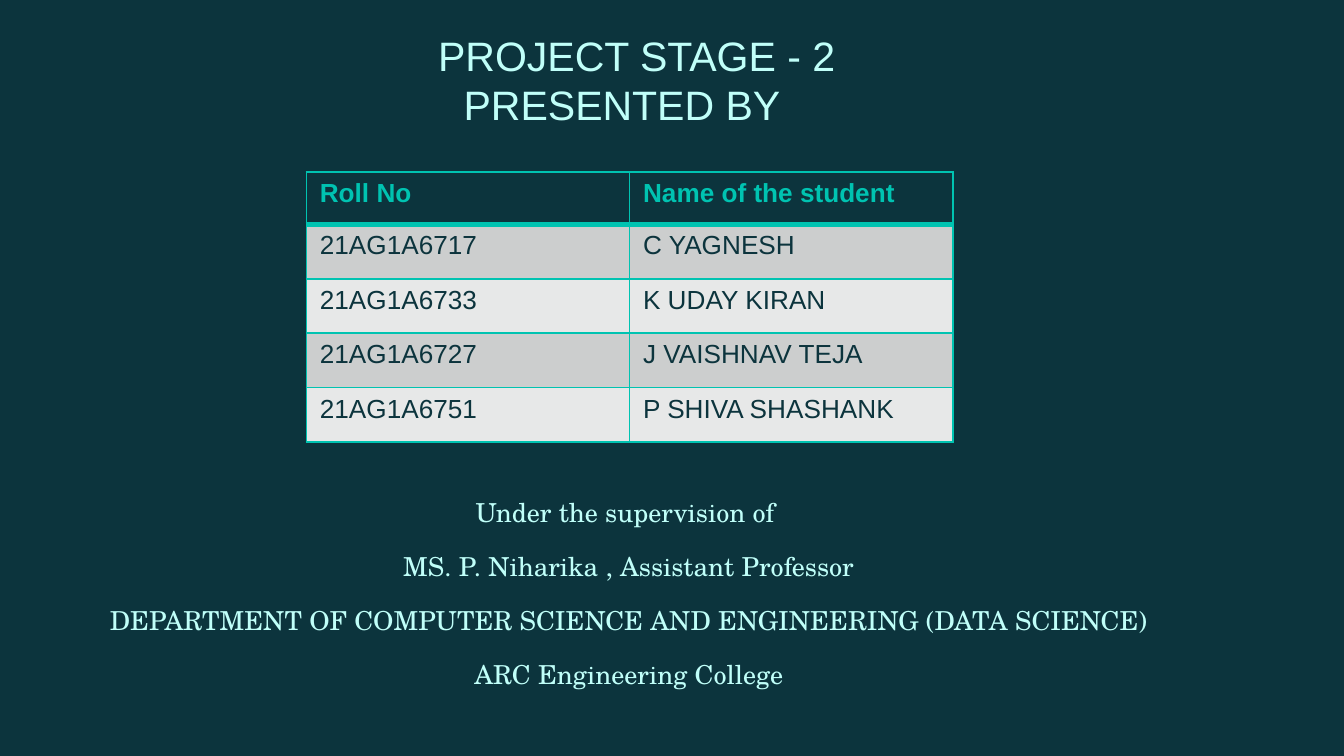
from dataclasses import dataclass

from lxml import etree
from pptx import Presentation, util as u
from pptx.dml.color import RGBColor
from pptx.enum import text as t
from pptx.oxml import ns


@dataclass(frozen=True)
class Theme:
    dark: str = "0C343D"
    teal: str = "00C3B1"
    pale: str = "C0FFF9"
    bands: tuple = ("CCCECE", "E7E8E8")
    sans: str = "Arial"
    serif: str = "TeX Gyre Schola"
    head: int = 22
    body: int = 14


THEME = Theme()
TITLE = (("PROJECT STAGE - 2", 1.0), ("PRESENTED BY", 1.19))
ROWS = (
    ("Roll No", "Name of the student"),
    ("21AG1A6717", "C YAGNESH"),
    ("21AG1A6733", "K UDAY KIRAN"),
    ("21AG1A6727", "J VAISHNAV TEJA"),
    ("21AG1A6751", "P SHIVA SHASHANK"),
)
CREDITS = (
    "Under the supervision of ",
    "MS. P. Niharika , Assistant Professor",
    "DEPARTMENT OF COMPUTER SCIENCE AND ENGINEERING (DATA SCIENCE)",
    "ARC Engineering College",
)


def apply(item, **vals):
    for key, val in vals.items():
        setattr(item, key, val)


def write(para, words, name, size, color, bold=False):
    run = para.add_run()
    run.text = words
    apply(run.font, name=name, size=u.Pt(size), bold=bold)
    run.font.color.rgb = RGBColor.from_string(color)


def lines(frame, count):
    return [frame.paragraphs[0]] + [frame.add_paragraph() for _ in range(count - 1)]


def edge(cell, side, color, width):
    props = cell._tc.get_or_add_tcPr()
    line = etree.SubElement(props, ns.qn(f"a:ln{side}"), w=str(u.Pt(width)))
    fill = etree.SubElement(line, ns.qn("a:solidFill"))
    etree.SubElement(fill, ns.qn("a:srgbClr"), val=color)


def add_title(slide, left, top, width, height):
    title = slide.shapes.title
    apply(title, left=left, top=top, width=width, height=height)
    frame = title.text_frame
    apply(frame, word_wrap=True, auto_size=t.MSO_AUTO_SIZE.NONE,
          vertical_anchor=t.MSO_ANCHOR.TOP)
    for para, (words, inset) in zip(lines(frame, len(TITLE)), TITLE):
        apply(para, alignment=t.PP_ALIGN.LEFT, line_spacing=u.Pt(26.3))
        para._p.get_or_add_pPr().set("marL", str(u.Inches(inset)))
        write(para, words, THEME.sans, THEME.head, THEME.pale)


def add_roster(slide, left, top, width, height):
    table = slide.shapes.add_table(len(ROWS), len(ROWS[0]), left, top, width, height).table
    first = u.Inches(0.39)
    rest = (height - first) // (len(ROWS) - 1)
    for i, names in enumerate(ROWS):
        head = i == 0
        table.rows[i].height = first if head else rest
        for j, words in enumerate(names):
            cell = table.cell(i, j)
            for side in "LRTB":
                thick = (head and side == "B") or (i == 1 and side == "T")
                edge(cell, side, THEME.teal, 3 if thick else 1)
            cell.fill.solid()
            tint = THEME.dark if head else THEME.bands[(i - 1) % 2]
            cell.fill.fore_color.rgb = RGBColor.from_string(tint)
            write(cell.text_frame.paragraphs[0], words, THEME.sans, THEME.body,
                  THEME.teal if head else THEME.dark, head)


def add_credits(slide, left, top, width, height):
    frame = slide.shapes.add_textbox(left, top, width, height).text_frame
    frame.word_wrap = True
    for para, words in zip(lines(frame, len(CREDITS)), CREDITS):
        apply(para, alignment=t.PP_ALIGN.CENTER, line_spacing=u.Pt(28.8))
        write(para, words, THEME.serif, THEME.body, THEME.pale)


def main():
    deck = Presentation()
    wide = u.Inches(10)
    apply(deck, slide_width=wide, slide_height=wide * 9 // 16)
    slide = deck.slides.add_slide(deck.slide_layouts[5])
    slide.background.fill.solid()
    slide.background.fill.fore_color.rgb = RGBColor.from_string(THEME.dark)
    parts = (
        (add_roster, (2.28, 1.28, 4.81, 2.01)),
        (add_credits, (0.06, 3.48, 9.24, 2.37)),
        (add_title, (2.16, 0.18, 5.55, 0.84)),
    )
    for draw, box in parts:
        draw(slide, *map(u.Inches, box))
    deck.save("out.pptx")


if __name__ == "__main__":
    main()
